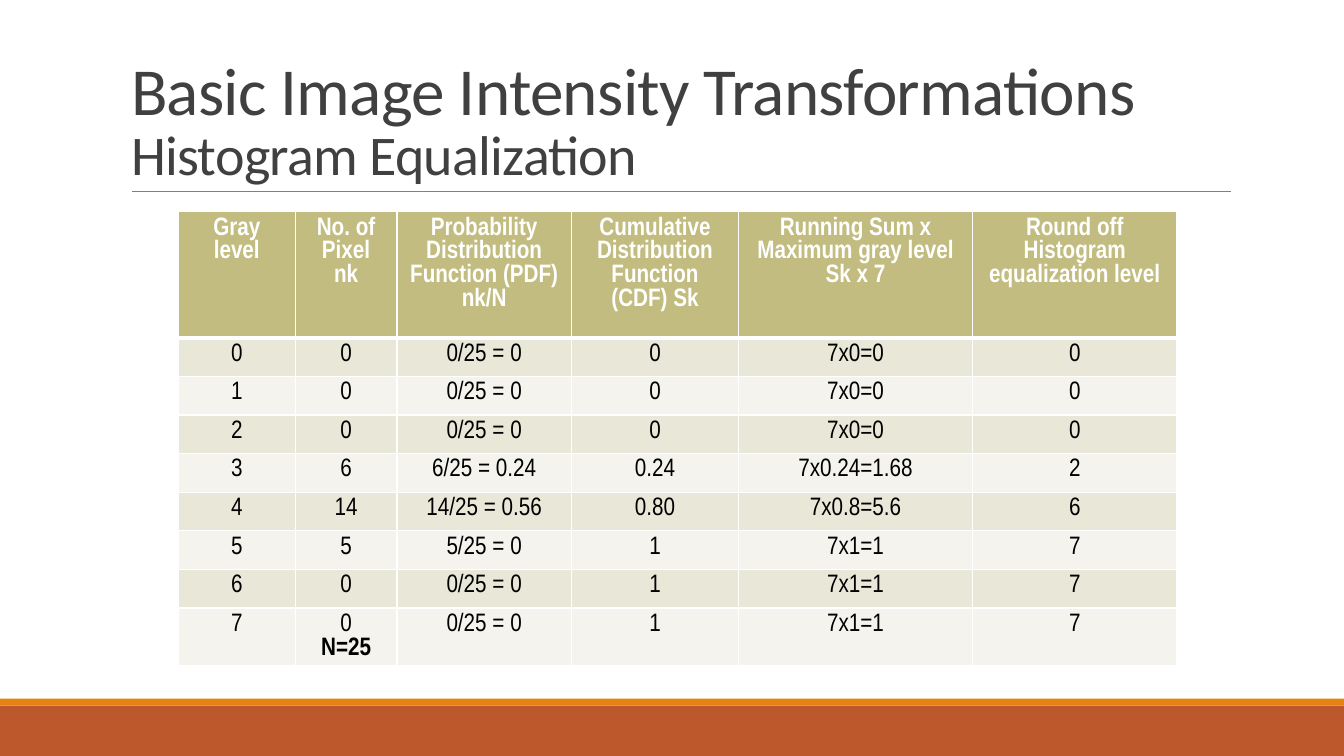
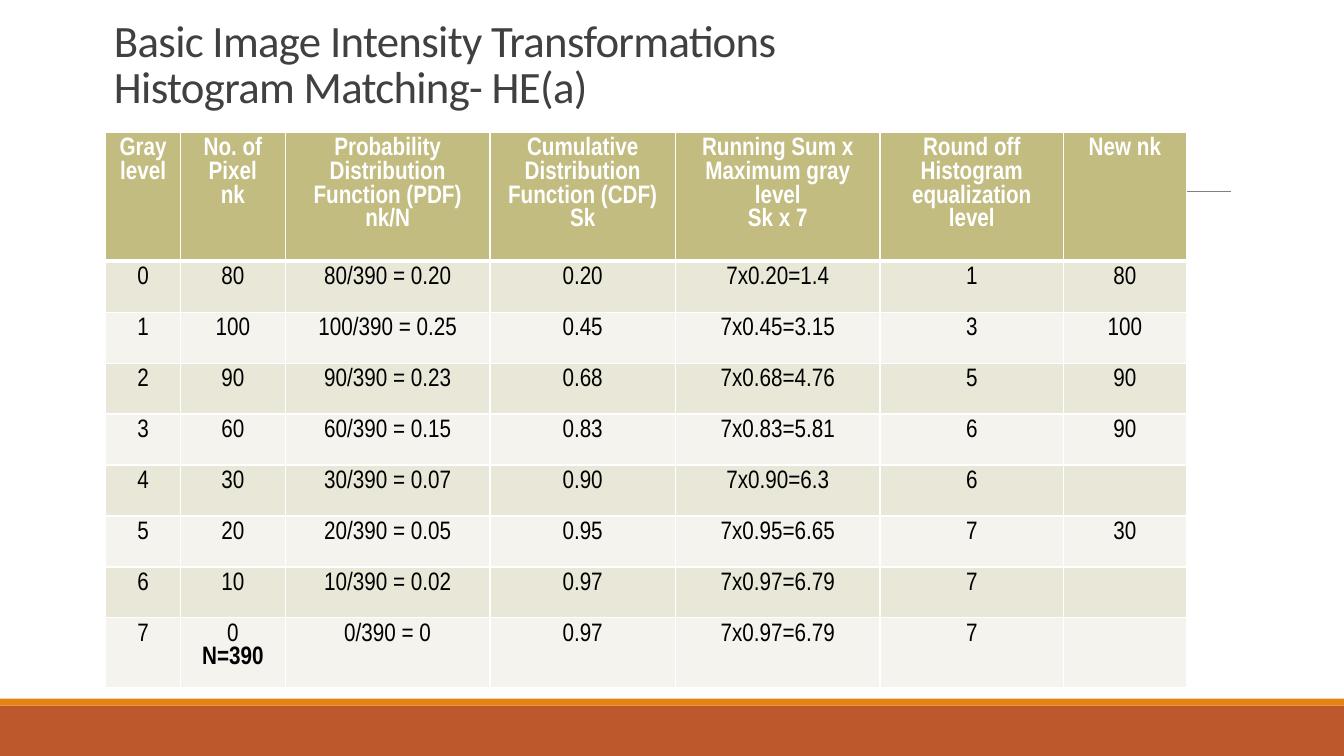
from copy import deepcopy
from dataclasses import dataclass

from lxml.etree import SubElement
from pptx import Presentation
from pptx.dml.color import RGBColor
from pptx.enum.shapes import MSO_CONNECTOR, MSO_SHAPE
from pptx.enum.text import MSO_ANCHOR, MSO_AUTO_SIZE, PP_ALIGN
from pptx.oxml import parse_xml
from pptx.oxml.ns import nsdecls, qn
from pptx.util import Pt


@dataclass(frozen=True)
class Theme:
    title_font: str = "Calibri"
    table_font: str = "Arial Narrow"
    title_size: int = 48
    subtitle_size: int = 40
    compact_title_size: int = 32
    table_size: int = 18
    title_color: str = "404040"
    footer_band: str = "BD582C"
    footer_edge: str = "E48312"
    title_rule: str = "808080"
    header_fill: str = "C2BC80"
    odd_fill: str = "E9E7D8"
    even_fill: str = "F4F3ED"
    header_text: str = "FFFFFF"
    body_text: str = "000000"
    border: str = "FFFFFF"


theme = Theme()


def format_run(run, font, size, color, bold):
    run.font.name = font
    run.font.size = Pt(size)
    run.font.bold = bold
    run.font.color.rgb = RGBColor.from_string(color)


def set_borders(cell, top, bottom):
    widths = {"lnL": 1, "lnR": 1, "lnT": top, "lnB": bottom}
    properties = cell._tc.get_or_add_tcPr()
    for position, (tag, width) in enumerate(widths.items()):
        properties.insert(position, parse_xml(
            f'<a:{tag} {nsdecls("a")} w="{Pt(width)}"><a:solidFill>'
            f'<a:srgbClr val="{theme.border}"/></a:solidFill></a:{tag}>'))


headings = [
    "Gray level",
    "No. of Pixel\nnk",
    "Probability Distribution Function (PDF) nk/N",
    "Cumulative Distribution Function (CDF) Sk",
    "Running Sum x Maximum gray level\nSk x 7",
    "Round off Histogram equalization level",
]

slides = [
    {
        "title": "Basic Image Intensity Transformations\vHistogram Equalization",
        "title_sizes": [theme.title_size, theme.subtitle_size],
        "title_box": (86.4, 22.3, 792, 114.5),
        "table_corner": (127.4, 151.2),
        "columns": [83.5, 72.7, 124.6, 119.5, 167, 146.2],
        "heights": [90] + [27.6] * 7 + [41],
        "rows": [
            headings,
            ["0", "0", "0/25 = 0", "0", "7x0=0", "0"],
            ["1", "0", "0/25 = 0", "0", "7x0=0", "0"],
            ["2", "0", "0/25 = 0", "0", "7x0=0", "0"],
            ["3", "6", "6/25 = 0.24", "0.24", "7x0.24=1.68", "2"],
            ["4", "14", "14/25 = 0.56", "0.80", "7x0.8=5.6", "6"],
            ["5", "5", "5/25 = 0", "1", "7x1=1", "7"],
            ["6", "0", "0/25 = 0", "1", "7x1=1", "7"],
            ["7", "0\nN=25", "0/25 = 0", "1", "7x1=1", "7"],
        ],
    },
    {
        "title": "Basic Image Intensity Transformations\vHistogram Matching- HE(a)",
        "title_sizes": [theme.compact_title_size] * 2,
        "title_box": (74.2, 22.3, 804.2, 61.9),
        "table_corner": (75.6, 94.6),
        "columns": [53.3, 74.9, 146.2, 132.5, 146.2, 131, 87.8],
        "heights": [92] + [36.4] * 7 + [49.5],
        "rows": [
            headings + ["New nk"],
            ["0", "80", "80/390 = 0.20", "0.20", "7x0.20=1.4", "1", "80"],
            ["1", "100", "100/390 = 0.25", "0.45", "7x0.45=3.15", "3", "100"],
            ["2", "90", "90/390 = 0.23", "0.68", "7x0.68=4.76", "5", "90"],
            ["3", "60", "60/390 = 0.15", "0.83", "7x0.83=5.81", "6", "90"],
            ["4", "30", "30/390 = 0.07", "0.90", "7x0.90=6.3", "6", ""],
            ["5", "20", "20/390 = 0.05", "0.95", "7x0.95=6.65", "7", "30"],
            ["6", "10", "10/390 = 0.02", "0.97", "7x0.97=6.79", "7", ""],
            ["7", "0\nN=390", "0/390 = 0", "0.97", "7x0.97=6.79", "7", ""],
        ],
    },
]

presentation = Presentation()
presentation.slide_width = Pt(960)
presentation.slide_height = Pt(540)
layout = presentation.slide_layouts[5]
for placeholder in list(layout.placeholders)[1:]:
    layout.shapes.element.remove(placeholder.element)

for number, content in enumerate(slides):
    slide = presentation.slides.add_slide(layout)

    if number == 0:
        decorations = []
        for top, height, color in [(504, 36, theme.footer_band), (499, 5, theme.footer_edge)]:
            band = slide.shapes.add_shape(MSO_SHAPE.RECTANGLE, 0, Pt(top), Pt(960), Pt(height))
            band.shadow.inherit = False
            band.fill.solid()
            band.fill.fore_color.rgb = RGBColor.from_string(color)
            band.line.fill.background()
            decorations.append(band)
        rule = slide.shapes.add_connector(
            MSO_CONNECTOR.STRAIGHT, Pt(94.3), Pt(136.8), Pt(879.1), Pt(136.8))
        rule.line.color.rgb = RGBColor.from_string(theme.title_rule)
        rule.line.width = Pt(0.5)
        SubElement(rule.element.spPr, qn("a:effectLst"))
        for decoration in decorations + [rule]:
            layout.shapes.element.append(decoration.element)

    title = slide.shapes.title
    title.left, title.top, title.width, title.height = map(Pt, content["title_box"])
    text_frame = title.text_frame
    text_frame.text = content["title"]
    text_frame.auto_size = MSO_AUTO_SIZE.NONE
    text_frame.vertical_anchor = MSO_ANCHOR.BOTTOM
    paragraph = text_frame.paragraphs[0]
    paragraph.alignment = PP_ALIGN.LEFT
    paragraph.line_spacing = 0.85
    for run, size in zip(paragraph.runs, content["title_sizes"]):
        format_run(run, theme.title_font, size, theme.title_color, False)
        run.font._element.set("spc", "-50")
    line_break = paragraph._p.find(qn("a:br"))
    line_break.append(deepcopy(paragraph.runs[0].font._element))

    rows, columns, heights = content["rows"], content["columns"], content["heights"]
    left, top = content["table_corner"]
    table = slide.shapes.add_table(
        len(rows), len(columns), Pt(left), Pt(top), Pt(sum(columns)), Pt(sum(heights))).table
    table.horz_banding = False
    for column, width in zip(table.columns, columns):
        column.width = Pt(width)
    for row, height in zip(table.rows, heights):
        row.height = Pt(height)

    for row_index, values in enumerate(rows):
        is_header = row_index == 0
        band_fill = theme.odd_fill if row_index % 2 else theme.even_fill
        for column_index, value in enumerate(values):
            cell = table.cell(row_index, column_index)
            cell.fill.solid()
            cell.fill.fore_color.rgb = RGBColor.from_string(
                theme.header_fill if is_header else band_fill)
            set_borders(cell, 3 if row_index == 1 else 1, 3 if is_header else 1)
            cell.text_frame.text = value
            for paragraph in cell.text_frame.paragraphs:
                paragraph.alignment = PP_ALIGN.CENTER
                for run in paragraph.runs:
                    format_run(
                        run, theme.table_font, theme.table_size,
                        theme.header_text if is_header else theme.body_text,
                        is_header or run.text.startswith("N="))

presentation.save("out.pptx")
